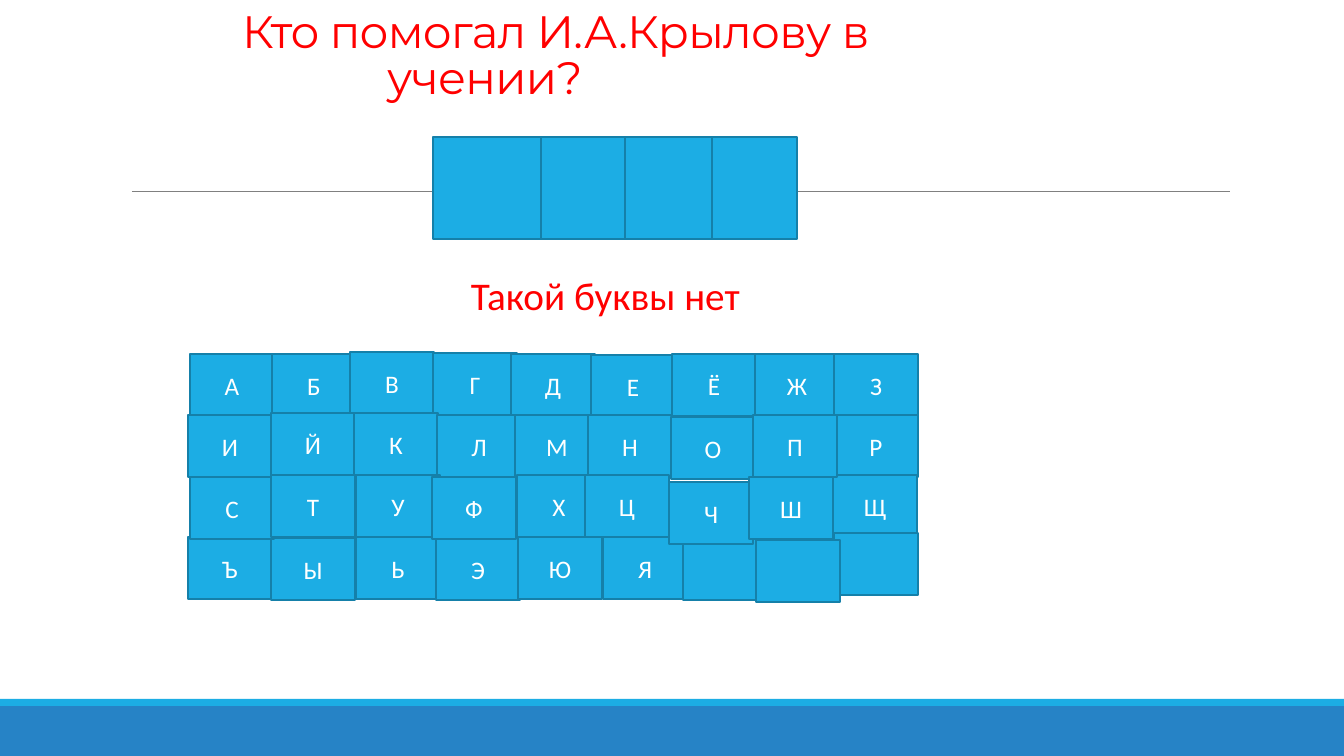
"""Build a letter-guessing slide with a hidden word and an alphabet keyboard."""
from lxml import etree
from pptx import Presentation
from pptx.dml.color import RGBColor
from pptx.enum.shapes import MSO_CONNECTOR as Connector, MSO_SHAPE as Shape
from pptx.enum.text import MSO_ANCHOR as Anchor, MSO_AUTO_SIZE as AutoSize, PP_ALIGN as Align
from pptx.oxml.ns import qn
from pptx.util import Pt

TITLE_LINES = ("Кто помогал И.А.Крылову в", "учении?")
MESSAGE = "Такой буквы нет"
ANSWER_EDGES = (433, 541, 625, 712, 797)
KEY_GROUPS = (
    ("АБВГДЕЁЖ", (190, 272, 350, 433, 511, 591, 672, 755),
     (354, 354, 352, 353, 354, 355, 354, 354)),
    ("ЗРЩ ", (834, 834, 833, 834), (354, 415, 475, 533)),
    ("ЪЫЬЭЮЯ  ", (188, 271, 356, 436, 518, 603, 683, 756),
     (537, 538, 537, 538, 537, 537, 538, 540)),
    ("ИЙКЛМНОП", (188, 271, 354, 437, 515, 588, 671, 753),
     (415, 413, 413, 415, 415, 415, 417, 415)),
    ("СТУФХЦЧШ", (190, 271, 356, 432, 517, 585, 669, 749),
     (477, 475, 475, 477, 475, 475, 482, 477)),
)
BANDS = (("deep", 706, 50), ("tile", 699, 7))
COLORS = {"deep": "2683C6", "tile": "1CADE4", "edge": "1580A9",
          "rule": "808080", "red": "FF0000", "white": "FFFFFF"}
WIDTH, HEIGHT = 1344, 756
KEY_WIDTH, KEY_HEIGHT = 84, 62
SECOND_LINE_INDENT = 145


def px(value):
    return round(value * 914400 / 100.8)


def color(name):
    return RGBColor.from_string(COLORS[name])


def add_span(para, text, size, tint, font="Calibri"):
    span = para.add_run()
    span.text = text
    span.font.size = Pt(size)
    span.font.name = font
    span.font.color.rgb = color(tint)
    return span


def add_box(page, left, top, width, height, fill="tile", edge=None):
    box = page.shapes.add_shape(Shape.RECTANGLE, px(left), px(top), px(width), px(height))
    box.shadow.inherit = False
    box.fill.solid()
    box.fill.fore_color.rgb = color(fill)
    if edge:
        box.line.color.rgb = color(edge)
        box.line.width = Pt(1.25)
    else:
        box.line.fill.background()
    return box


def add_title(page):
    title = page.shapes.title
    title.left, title.top, title.width, title.height = map(px, (232, 31, 844, 78))
    frame = title.text_frame
    frame.auto_size = AutoSize.NONE
    frame.word_wrap = True
    frame.vertical_anchor = Anchor.BOTTOM
    para = frame.paragraphs[0]
    para.alignment = Align.LEFT
    para.line_spacing = 0.85
    properties = para._p.get_or_add_pPr()
    properties.set("marL", str(px(SECOND_LINE_INDENT)))
    properties.set("indent", str(-px(SECOND_LINE_INDENT)))
    for number, line in enumerate(TITLE_LINES):
        if number:
            para.add_line_break()
        span = add_span(para, line, 32.4, "red", "Montserrat")
        span._r.get_or_add_rPr().set("spc", "-50")


def add_rule(page):
    rule = page.shapes.add_connector(Connector.STRAIGHT, px(132), px(191), px(1230), px(191))
    rule.line.color.rgb = color("rule")
    rule.line.width = Pt(0.5)
    etree.SubElement(rule._element.spPr, qn("a:effectLst"))


def add_key(page, letter, left, top):
    key = add_box(page, left, top, KEY_WIDTH, KEY_HEIGHT, edge="edge")
    if letter.strip():
        key.text_frame.vertical_anchor = Anchor.MIDDLE
        para = key.text_frame.paragraphs[0]
        para.alignment = Align.CENTER
        add_span(para, letter, 18, "white")


def add_message(page):
    box = page.shapes.add_textbox(px(461), px(266), px(329), px(57))
    box.text_frame.word_wrap = True
    add_span(box.text_frame.paragraphs[0], MESSAGE, 28, "red")


def main():
    deck = Presentation()
    deck.slide_width, deck.slide_height = px(WIDTH), px(HEIGHT)
    page = deck.slides.add_slide(deck.slide_layouts[5])
    for fill, top, height in BANDS:
        add_box(page, 0, top, WIDTH, height, fill)
    add_rule(page)
    add_title(page)
    for left, right in zip(ANSWER_EDGES, ANSWER_EDGES[1:]):
        add_box(page, left, 137, right - left, 102, edge="edge")
    for letters, lefts, tops in KEY_GROUPS:
        for letter, left, top in zip(letters, lefts, tops):
            add_key(page, letter, left, top)
    add_message(page)
    deck.save("out.pptx")


if __name__ == "__main__":
    main()
